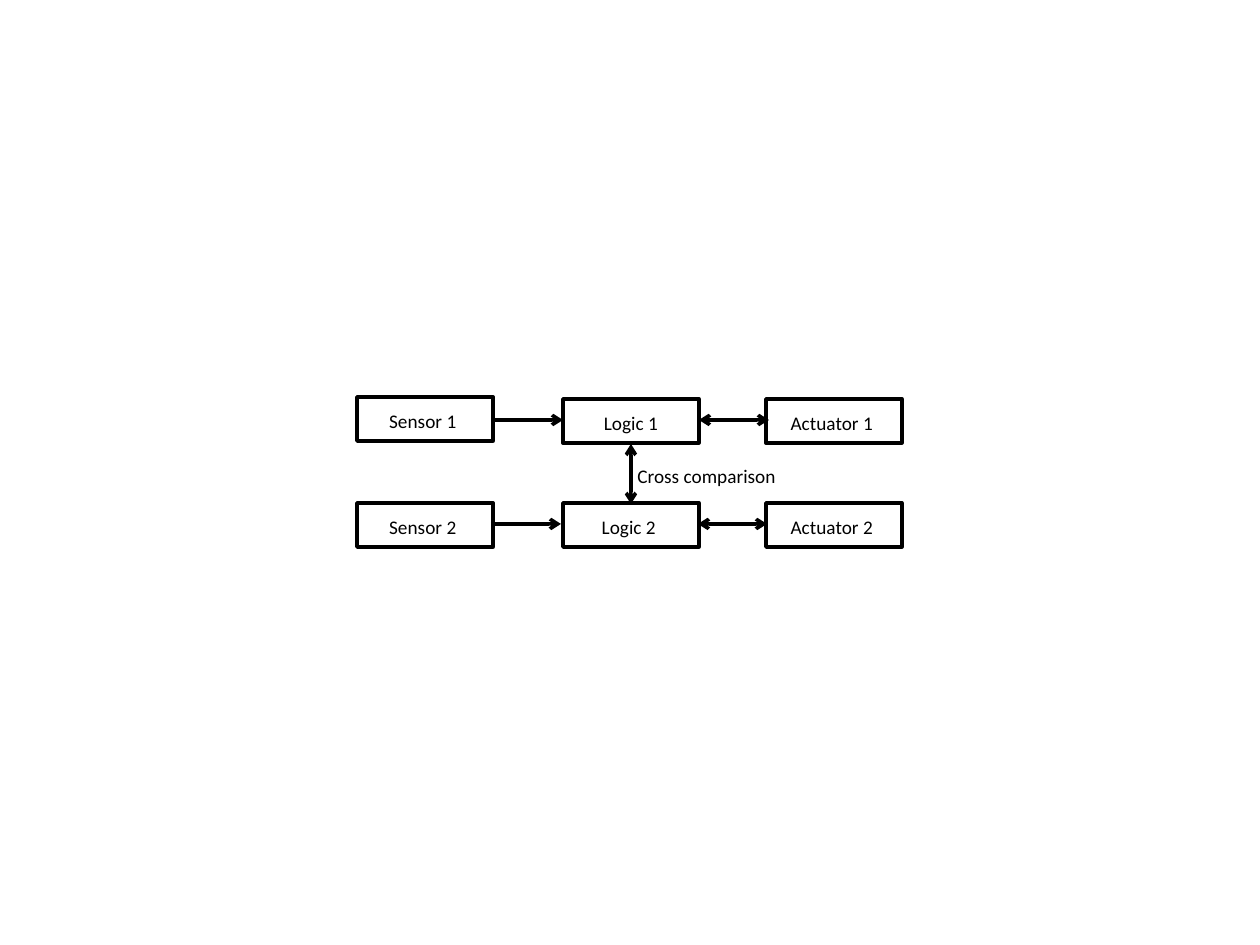
from lxml.etree import SubElement
from pptx import Presentation
from pptx.dml.color import RGBColor
from pptx.enum.shapes import MSO_CONNECTOR as Connector, MSO_SHAPE as Shape
from pptx.enum.text import MSO_ANCHOR as Anchor, PP_ALIGN as Align
from pptx.oxml.ns import qn
from pptx.util import Pt

SCALE = 914400 // 126
BLACK, WHITE = "000000", "FFFFFF"


def color(hex_code):
    """Turn a hex string into a colour."""
    return RGBColor.from_string(hex_code)


def add_box(text, left, top, width, height, *, fill=None, line=None,
            align=Align.CENTER, anchor=Anchor.MIDDLE, wrap=True):
    """Add a rectangle with one paragraph of text; lengths are pixels."""
    box = page.shapes.add_shape(
        Shape.RECTANGLE, *(n * SCALE for n in (left, top, width, height)))
    box.shadow.inherit = False
    if fill:
        box.fill.solid()
        box.fill.fore_color.rgb = color(fill)
    else:
        box.fill.background()
    if line:
        box.line.color.rgb = color(line)
        box.line.width = Pt(2)
    else:
        box.line.fill.background()
    frame = box.text_frame
    frame.word_wrap = wrap
    frame.vertical_anchor = anchor
    para = frame.paragraphs[0]
    para.alignment = align
    para.line_spacing = 1.15
    para.space_after = Pt(10)
    span = para.add_run()
    span.text = text
    span.font.name = "Calibri"
    span.font.size = Pt(11)
    span.font.color.rgb = color(BLACK)


deck = Presentation()
deck.slide_width, deck.slide_height = 1260 * SCALE, 945 * SCALE
page = deck.slides.add_slide(deck.slide_layouts[6])

# Two channels: name, left edge, top of each row
columns = [("Sensor", 357, (397, 503)),
           ("Logic", 563, (399, 503)),
           ("Actuator", 766, (399, 503))]
for name, left, tops in columns:
    for number, top in enumerate(tops, 1):
        # A trailing no-break space shifts every label except Logic 1
        tail = "" if (name, number) == ("Logic", 1) else "\u00a0"
        add_box(f"{name} {number}{tail}", left, top, 136, 44, line=BLACK)

add_box("Cross comparison", 625, 455, 165, 38, fill=WHITE,
        align=Align.LEFT, anchor=Anchor.TOP, wrap=False)

# Signal paths: start and end points, arrowheads
one_way, two_way = ("tailEnd",), ("headEnd", "tailEnd")
arrows = [((494, 420, 563, 420), one_way),
          ((491, 524, 561, 524), one_way),
          ((699, 420, 769, 420), two_way),
          ((698, 524, 767, 524), two_way),
          ((631, 444, 631, 504), two_way)]
for points, ends in arrows:
    arrow = page.shapes.add_connector(
        Connector.STRAIGHT, *(n * SCALE for n in points))
    arrow.line.color.rgb = color(BLACK)
    arrow.line.width = Pt(2)
    outline = arrow.line._get_or_add_ln()
    for end in ends:
        SubElement(outline, qn(f"a:{end}"), type="arrow")
    SubElement(arrow._element.spPr, qn("a:effectLst"))

deck.save("out.pptx")
